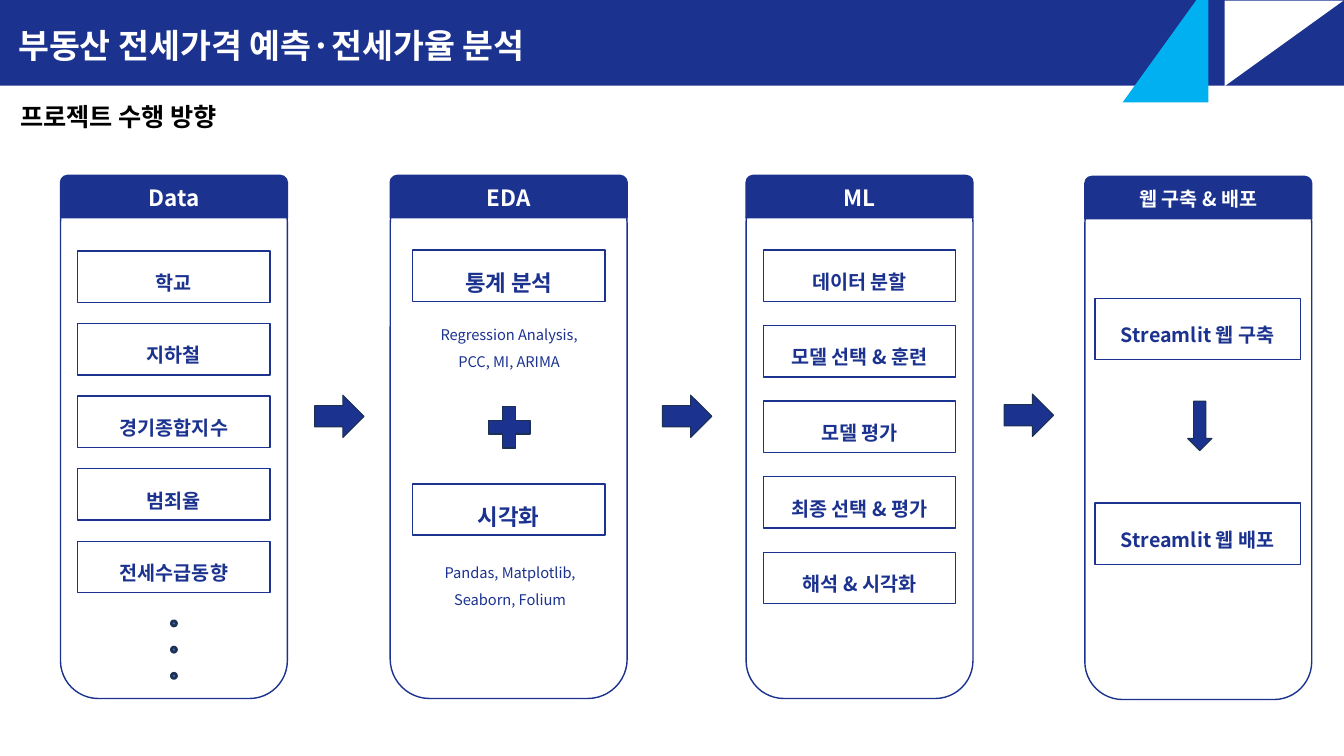
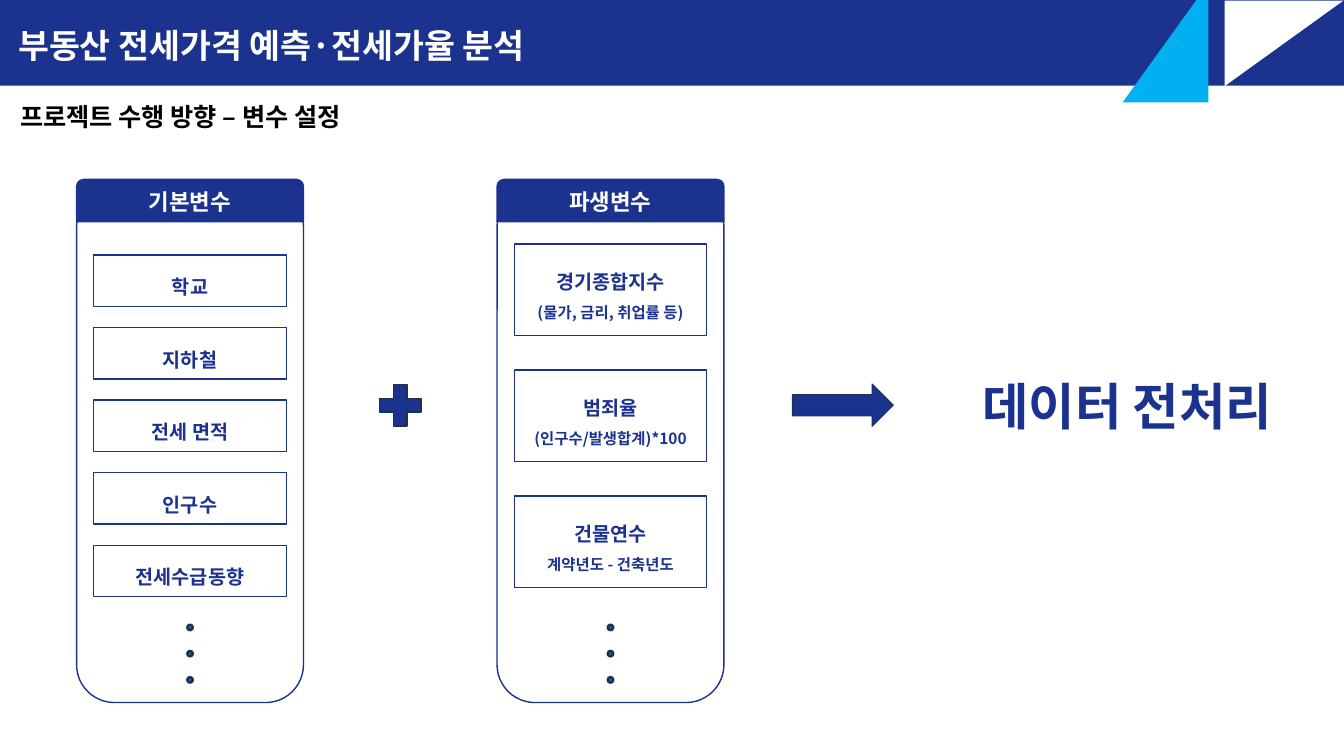
from dataclasses import dataclass
from typing import Optional

from lxml import etree
from pptx import Presentation
from pptx import util as u
from pptx.dml.color import RGBColor
from pptx.enum import shapes, text
from pptx.oxml.ns import qn
from pptx.shapes.autoshape import Shape
from pptx.slide import Slide

EMU_PER_PX = 9144
MARGIN = 10
Kind = shapes.MSO_SHAPE
Align = text.PP_ALIGN
Anchor = text.MSO_ANCHOR


@dataclass(frozen=True)
class Theme:
    font: str = "Noto Sans CJK KR"
    navy: str = "1B328F"
    sky: str = "00B0F0"
    white: str = "FFFFFF"
    black: str = "000000"
    symbol_edge: str = "1C3052"
    dot: str = "4472C4"
    dot_edge: str = "1E3256"
    title: float = 24
    subtitle: float = 18
    heading: float = 16
    entry: float = 14
    detail: float = 11
    note: float = 10.5
    result: float = 36
    loose: float = 1.5


THEME = Theme()


@dataclass(frozen=True)
class Area:
    x: int
    y: int
    w: int
    h: int


@dataclass(frozen=True)
class Column:
    x: int
    y: int
    heading: str
    entries: tuple[str, ...]
    first: int = 75
    pitch: int = 72
    w: int = 225
    box_w: int = 191
    box_h: int = 51
    heading_size: float = THEME.heading
    entry_size: float = THEME.entry
    dots: bool = False


@dataclass(frozen=True)
class Symbol:
    kind: Kind
    area: Area
    edge_width: float = 0.75


@dataclass(frozen=True)
class Note:
    area: Area
    words: str
    size: float = THEME.note
    bold: bool = False
    spacing: float = THEME.loose


@dataclass(frozen=True)
class Page:
    subtitle: str
    columns: tuple[Column, ...]
    symbols: tuple[Symbol, ...]
    notes: tuple[Note, ...]


PAGES = (
    Page(
        "프로젝트 수행 방향",
        (
            Column(60, 174, "Data",
                   ("학교", "지하철", "경기종합지수", "범죄율", "전세수급동향"), dots=True),
            Column(387, 174, "EDA", ("통계 분석", "시각화"), first=74, pitch=232,
                   w=235, entry_size=THEME.heading),
            Column(740, 174, "ML",
                   ("데이터 분할", "모델 선택 & 훈련", "모델 평가", "최종 선택 & 평가",
                    "해석 & 시각화"), first=74, pitch=75),
            Column(1076, 175, "웹 구축 & 배포", ("Streamlit 웹 구축", "Streamlit 웹 배포"),
                   first=121, pitch=203, box_w=204, box_h=61, heading_size=THEME.entry),
        ),
        (
            Symbol(Kind.RIGHT_ARROW, Area(312, 392, 49, 42)),
            Symbol(Kind.RIGHT_ARROW, Area(657, 392, 49, 42)),
            Symbol(Kind.RIGHT_ARROW, Area(996, 391, 49, 42)),
            Symbol(Kind.DOWN_ARROW, Area(1178, 398, 24, 49)),
            Symbol(Kind.MATH_PLUS, Area(477, 396, 56, 56), 1),
        ),
        (
            Note(Area(416, 310, 178, 63), "Regression Analysis, PCC, MI, ARIMA"),
            Note(Area(423, 546, 166, 63), "Pandas, Matplotlib, Seaborn, Folium"),
        ),
    ),
    Page(
        "프로젝트 수행 방향 – 변수 설정",
        (
            Column(76, 178, "기본변수",
                   ("학교", "지하철", "전세 면적", "인구수", "전세수급동향"), dots=True),
            Column(493, 178, "파생변수",
                   ("경기종합지수\n(물가, 금리, 취업률 등)", "범죄율\n(인구수/발생합계)*100",
                    "건물연수\n계약년도 - 건축년도"),
                   first=64, pitch=125, box_h=91, dots=True),
        ),
        (
            Symbol(Kind.MATH_PLUS, Area(369, 374, 56, 56), 1),
            Symbol(Kind.RIGHT_ARROW, Area(786, 381, 100, 42)),
        ),
        (Note(Area(930, 367, 376, 72), "데이터 전처리", THEME.result, True, 1.0),),
    ),
)


def px(length: int) -> u.Emu:
    return u.Emu(length * EMU_PER_PX)


def bounds(area: Area) -> tuple[u.Emu, ...]:
    return px(area.x), px(area.y), px(area.w), px(area.h)


def place(shape: Shape, area: Area) -> None:
    shape.left, shape.top, shape.width, shape.height = bounds(area)


def paint(shape: Shape, color: str) -> None:
    shape.fill.solid()
    shape.fill.fore_color.rgb = RGBColor.from_string(color)


def write(shape: Shape, words: str, *, size: float, color: str = THEME.navy,
          bold: bool = True, align: Align = Align.CENTER, spacing: float = 1.0,
          anchor: Anchor = Anchor.MIDDLE, left: int = MARGIN) -> None:
    frame = shape.text_frame
    frame.word_wrap = True
    frame.auto_size = text.MSO_AUTO_SIZE.NONE
    frame.vertical_anchor = anchor
    frame.margin_left, frame.margin_right = px(left), px(MARGIN)
    frame.margin_top = frame.margin_bottom = px(5)
    for index, line in enumerate(words.split("\n")):
        paragraph = frame.add_paragraph() if index else frame.paragraphs[0]
        paragraph.alignment = align
        paragraph.line_spacing = spacing
        paragraph.space_before = u.Pt(0)
        run = paragraph.add_run()
        run.text = line
        run.font.size = u.Pt(THEME.detail if index else size)
        run.font.bold = bold
        run.font.color.rgb = RGBColor.from_string(color)
        run.font.name = THEME.font
        etree.SubElement(run.font._element, qn("a:ea"), typeface=THEME.font)


def add_block(slide: Slide, kind: Kind, area: Area, fill: str,
              edge: Optional[str] = None, edge_width: float = 1) -> Shape:
    block = slide.shapes.add_shape(kind, *bounds(area))
    block.shadow.inherit = False
    paint(block, fill)
    if edge:
        block.line.color.rgb = RGBColor.from_string(edge)
        block.line.width = u.Pt(edge_width)
    else:
        block.line.fill.background()
    return block


def add_header(slide: Slide, subtitle: str) -> None:
    band, section = slide.shapes.title, slide.placeholders[1]
    place(band, Area(0, 0, 1333, 85))
    paint(band, THEME.navy)
    write(band, "부동산 전세가격 예측·전세가율 분석", size=THEME.title, color=THEME.white,
          align=Align.LEFT, spacing=THEME.loose, anchor=Anchor.TOP, left=18)
    add_block(slide, Kind.RIGHT_TRIANGLE, Area(1231, -16, 85, 118), THEME.white).rotation = 90
    add_block(slide, Kind.RIGHT_TRIANGLE, Area(1097, 0, 118, 85), THEME.sky).rotation = 270
    place(section, Area(10, 95, 393, 40))
    properties = section.text_frame.paragraphs[0]._p.get_or_add_pPr()
    properties.set("marL", "0")
    properties.set("indent", "0")
    etree.SubElement(properties, qn("a:buNone"))
    write(section, subtitle, size=THEME.subtitle, color=THEME.black,
          align=Align.LEFT, anchor=Anchor.TOP)


def add_column(slide: Slide, column: Column) -> None:
    add_block(slide, Kind.ROUNDED_RECTANGLE, Area(column.x, column.y + 9, column.w, 510),
              THEME.white, THEME.navy)
    heading = add_block(slide, Kind.ROUND_2_SAME_RECTANGLE,
                        Area(column.x, column.y, column.w, 42), THEME.navy, THEME.navy)
    write(heading, column.heading, size=column.heading_size, color=THEME.white)
    box_x = column.x + (column.w - column.box_w) // 2
    for row, words in enumerate(column.entries):
        top = column.y + column.first + row * column.pitch
        entry = add_block(slide, Kind.RECTANGLE,
                          Area(box_x, top, column.box_w, column.box_h),
                          THEME.white, THEME.navy)
        write(entry, words, size=column.entry_size, spacing=THEME.loose)
    if column.dots:
        for step in range(3):
            add_block(slide, Kind.OVAL,
                      Area(column.x + column.w // 2 - 2, column.y + 442 + 26 * step, 5, 5),
                      THEME.dot, THEME.dot_edge, 2)


def add_note(slide: Slide, note: Note) -> None:
    caption = slide.shapes.add_textbox(*bounds(note.area))
    write(caption, note.words, size=note.size, bold=note.bold, spacing=note.spacing,
          anchor=Anchor.TOP)


def main() -> None:
    deck = Presentation()
    deck.slide_width, deck.slide_height = px(1333), px(750)
    for page in PAGES:
        slide = deck.slides.add_slide(deck.slide_layouts[1])
        add_header(slide, page.subtitle)
        for column in page.columns:
            add_column(slide, column)
        for symbol in page.symbols:
            add_block(slide, symbol.kind, symbol.area, THEME.navy,
                      THEME.symbol_edge, symbol.edge_width)
        for note in page.notes:
            add_note(slide, note)
    deck.save("out.pptx")


if __name__ == "__main__":
    main()
